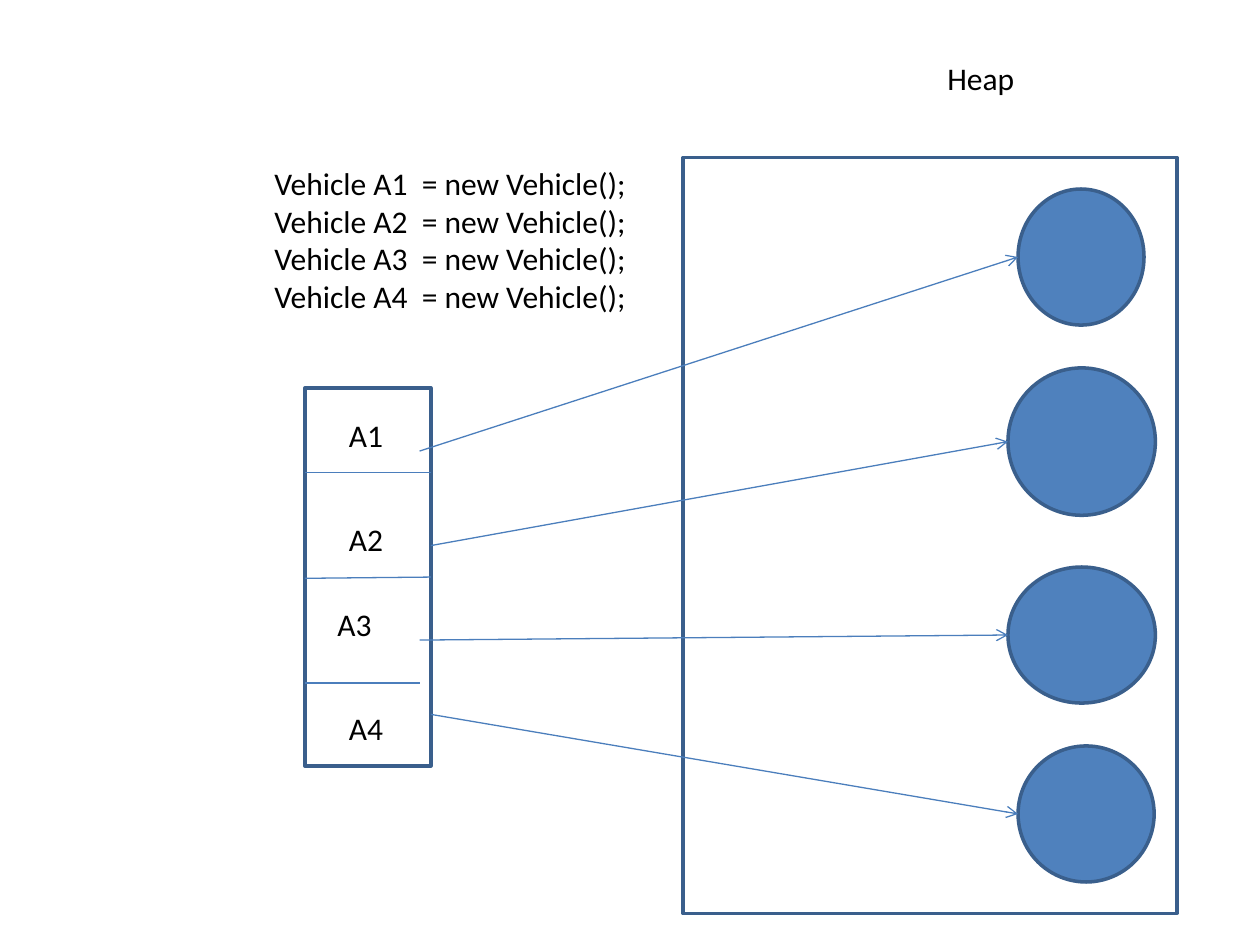
"""Build a slide showing vehicle references pointing to objects on the heap."""
from lxml.etree import SubElement
from pptx import Presentation
from pptx.dml.color import RGBColor
from pptx.enum.shapes import MSO_CONNECTOR, MSO_SHAPE
from pptx.enum.text import MSO_AUTO_SIZE
from pptx.oxml.ns import qn
from pptx.util import Inches, Pt

BLUE = RGBColor(0x4F, 0x81, 0xBD)
OUTLINE = RGBColor(0x3A, 0x5F, 0x8C)
LINK = RGBColor(0x4B, 0x7E, 0xBC)
BLACK = RGBColor(0, 0, 0)

deck = Presentation()
deck.slide_width, deck.slide_height = Inches(10), Inches(7.5)
slide = deck.slides.add_slide(deck.slide_layouts[6])
shapes = slide.shapes

frames = [(5.42, 1.25, 3.92, 6), (2.42, 3.08, 1, 3)]
objects = [
    (8.08, 1.5, 1, 1.08),
    (8, 2.92, 1.17, 1.17),
    (8, 4.5, 1.17, 1.08),
    (8.08, 5.92, 1.08, 1.08),
]
outlines = [(MSO_SHAPE.RECTANGLE, box) for box in frames]
outlines += [(MSO_SHAPE.OVAL, box) for box in objects]
for preset, box in outlines:
    outline = shapes.add_shape(preset, *map(Inches, box))
    outline.shadow.inherit = False
    outline.line.color.rgb = OUTLINE
    outline.line.width = Pt(2)
    if preset == MSO_SHAPE.OVAL:
        outline.fill.solid()
        outline.fill.fore_color.rgb = BLUE
    else:
        outline.fill.background()

dividers = [
    (2.42, 3.75, 3.42, 3.75),
    (2.42, 4.59, 3.42, 4.58),
    (2.42, 5.42, 3.33, 5.42),
]
reference_starts = [(3.33, 3.58), (3.42, 4.33), (3.33, 5.08), (3.42, 5.67)]
references = [
    (*start, left, top + height / 2)
    for start, (left, top, _, height) in zip(reference_starts, objects)
]
for ends in dividers + references:
    link = shapes.add_connector(MSO_CONNECTOR.STRAIGHT, *map(Inches, ends))
    link.line.color.rgb = LINK
    link.line.width = Pt(0.75)
    if ends in references:
        SubElement(link.line._get_or_add_ln(), qn("a:tailEnd"), type="arrow")
    SubElement(link._element.spPr, qn("a:effectLst"))

names = ["A1", "A2", "A3", "A4"]
code = "\n".join(f"Vehicle {name}  = new Vehicle();" for name in names)
label_corners = [(2.67, 3.25), (2.67, 4.08), (2.58, 4.75), (2.67, 5.58)]
texts = [(name, (*corner, 0.58, 0.4)) for name, corner in zip(names, label_corners)]
texts += [(code, (2.08, 1.25, 5, 1.31)), ("Heap", (7.42, 0.42, 2.08, 0.42))]
for wording, box in texts:
    frame = shapes.add_textbox(*map(Inches, box)).text_frame
    frame.word_wrap = True
    frame.auto_size = MSO_AUTO_SIZE.SHAPE_TO_FIT_TEXT
    frame.text = wording
    for paragraph in frame.paragraphs:
        paragraph.font.name = "Calibri"
        paragraph.font.size = Pt(18)
        paragraph.font.color.rgb = BLACK

deck.save("out.pptx")
